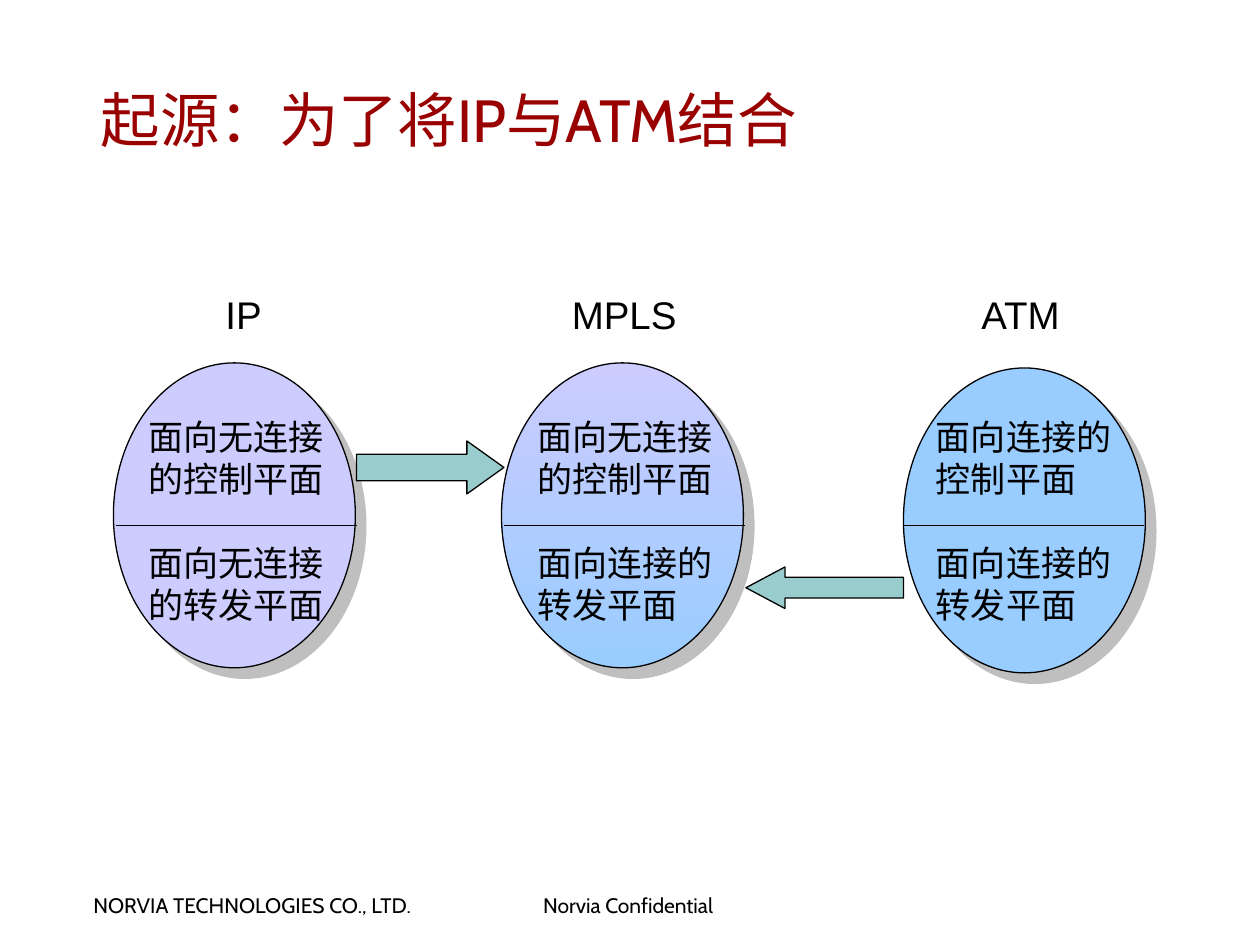
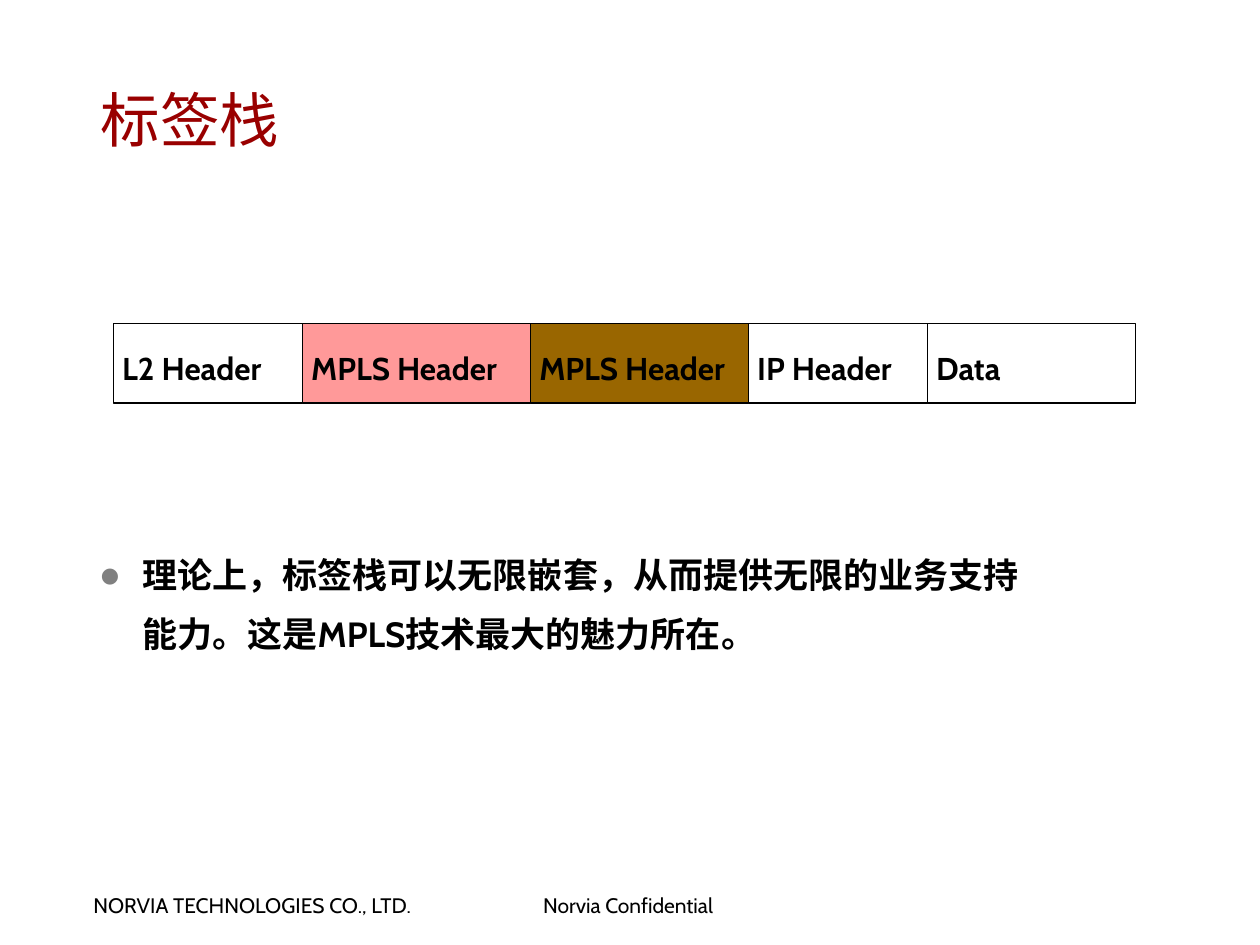
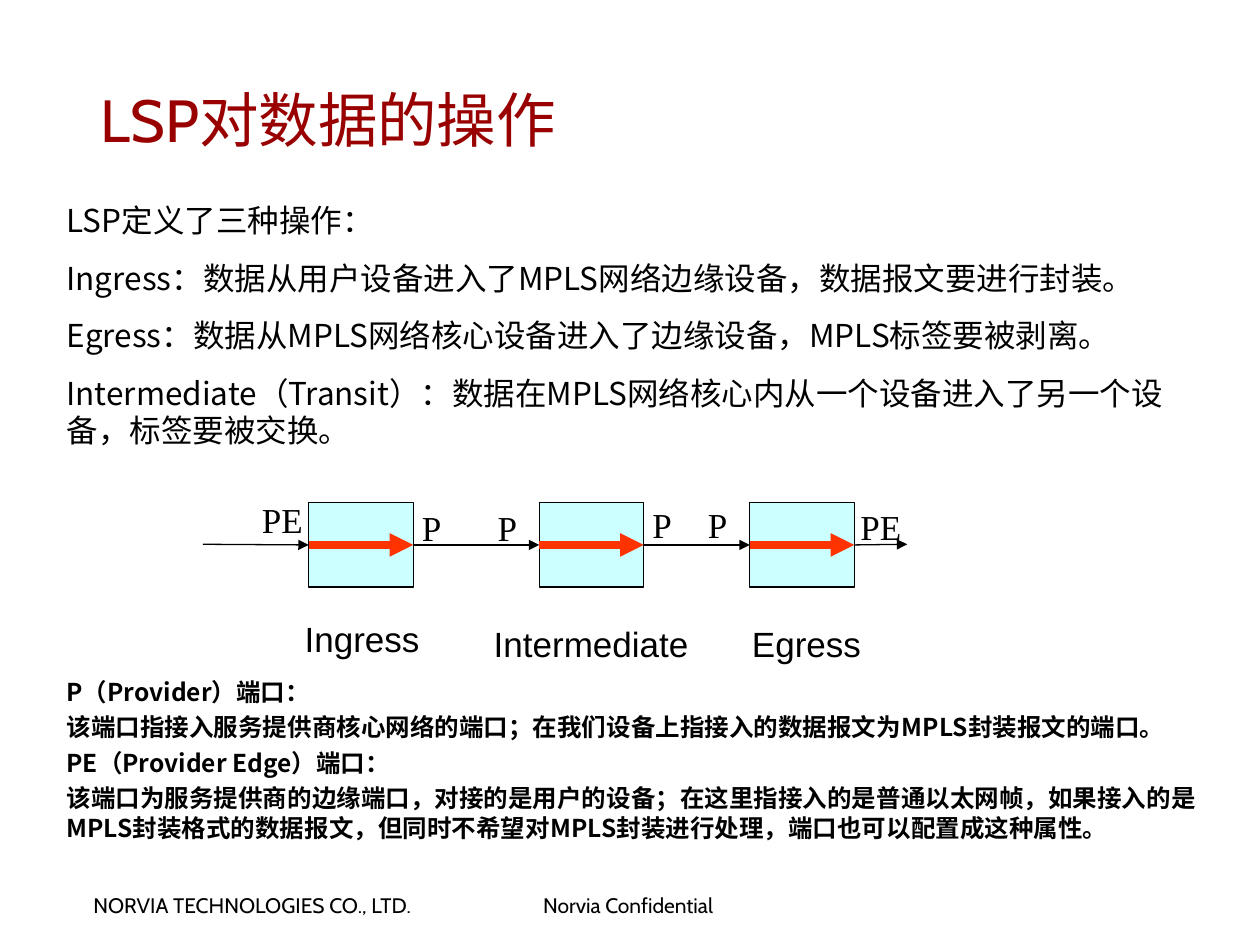
from dataclasses import dataclass

from lxml import etree
from pptx import Presentation
from pptx import util as u
from pptx.dml.color import RGBColor
from pptx.enum import shapes, text
from pptx.oxml.ns import qn


@dataclass(frozen=True)
class Theme:
    # Colours
    ink: str = "000000"
    title: str = "990000"
    bullet: str = "808080"
    shade: str = "808080"
    lilac: str = "CCCCFF"
    sky: str = "99CCFF"
    teal: str = "99CCCC"
    pink: str = "FF9999"
    brown: str = "996600"
    aqua: str = "CCFFFF"
    red: str = "FF3300"
    # Fonts
    main: str = "Cabin"
    hans: str = "Noto Sans CJK SC"
    serif: str = "Times New Roman"
    sans: str = "Arial"
    # Type sizes and line widths in points
    big: int = 34
    head: int = 22
    body: int = 20
    mid: int = 18
    note: int = 14
    foot: int = 12
    thin: float = 0.75
    thick: float = 4.5


THEME = Theme()
WIDE = (0.1, 0.05)
TIGHT = (0.09, 0.04)
FOOTS = [(0.65, 2.99, "NORVIA TECHNOLOGIES CO., LTD."),
         (4.22, 1.85, "Norvia Confidential")]


def paint(form, tone):
    form.rgb = RGBColor.from_string(tone)


def add(parent, tag, **attrs):
    return etree.SubElement(parent, qn(tag), attrs)


def write(frame, lines, size=THEME.body, font=THEME.main, tone=THEME.ink,
          bold=False, before=0, pitch=1.0, pad=TIGHT, wrap=True,
          anchor=text.MSO_ANCHOR.TOP, fit=text.MSO_AUTO_SIZE.NONE):
    """Fill a text frame with one paragraph per line."""
    frame.word_wrap, frame.auto_size = wrap, fit
    frame.vertical_anchor = anchor
    frame.margin_left = frame.margin_right = u.Inches(pad[0])
    frame.margin_top = frame.margin_bottom = u.Inches(pad[1])
    for i, line in enumerate(lines):
        para = frame.add_paragraph() if i else frame.paragraphs[0]
        para.alignment = text.PP_ALIGN.LEFT
        para.space_before, para.line_spacing = u.Pt(before), pitch
        run = para.add_run()
        run.text = line
        run.font.size, run.font.name, run.font.bold = u.Pt(size), font, bold
        paint(run.font.color, tone)
        add(run._r.get_or_add_rPr(), "a:ea", typeface=THEME.hans)


class Deck:
    def __init__(self, theme):
        self.theme = theme
        self.file = Presentation()
        self.file.slide_width, self.file.slide_height = u.Inches(10), u.Inches(7.5)

    def start(self, title, layout=5):
        """Open a slide with its title and footers."""
        self.slide = self.file.slides.add_slide(self.file.slide_layouts[layout])
        self.area = self.slide.shapes
        t = self.theme
        self.place(self.slide.shapes.title, 0.71, 0.47, 8.47, 0.95)
        write(self.slide.shapes.title.text_frame, [title], size=t.big,
              tone=t.title, anchor=text.MSO_ANCHOR.MIDDLE)
        for x, w, line in FOOTS:
            self.label(x, 7.04, w, 0.29, line, size=t.foot, wrap=False)

    def group(self):
        self.area = self.slide.shapes.add_group_shape().shapes

    def ungroup(self):
        self.area = self.slide.shapes

    def place(self, shape, *box):
        shape.left, shape.top, shape.width, shape.height = map(u.Inches, box)

    def label(self, x, y, w, h, *lines, **form):
        box = self.area.add_textbox(*map(u.Inches, (x, y, w, h)))
        write(box.text_frame, lines, fit=text.MSO_AUTO_SIZE.SHAPE_TO_FIT_TEXT, **form)

    def bullet(self, x, y, w, h, line):
        body = self.slide.placeholders[1]
        self.place(body, x, y, w, h)
        write(body.text_frame, [line], bold=True, before=5, pitch=1.4)
        props = body.text_frame.paragraphs[0]._p.get_or_add_pPr()
        props.set("marL", str(u.Inches(0.33)))
        props.set("indent", str(u.Inches(-0.33)))
        add(add(props, "a:buClr"), "a:srgbClr", val=self.theme.bullet)
        add(props, "a:buSzPct", val="60000")
        add(props, "a:buFont", typeface=self.theme.main)
        add(props, "a:buChar", char="●")

    def shape(self, kind, x, y, w, h, fill=None, blend=None, adjust=(), shade=False):
        item = self.area.add_shape(kind, *map(u.Inches, (x, y, w, h)))
        item.shadow.inherit = False
        for i, value in enumerate(adjust):
            item.adjustments[i] = value
        if blend:
            item.fill.gradient()
            item.fill.gradient_angle = 270
            for stop, tone in zip(item.fill.gradient_stops, (fill, blend)):
                paint(stop.color, tone)
        elif fill:
            item.fill.solid()
            paint(item.fill.fore_color, fill)
        else:
            item.fill.background()
        paint(item.line.color, self.theme.ink)
        item.line.width = u.Pt(self.theme.thin)
        if shade:
            effects = item._element.spPr.find(qn("a:effectLst"))
            drop = add(effects, "a:outerShdw", dist=str(u.Pt(8.5)),
                       dir="2700000", algn="ctr", rotWithShape="0")
            tone = add(drop, "a:srgbClr", val=self.theme.shade)
            add(tone, "a:alpha", val="50000")
        return item

    def line(self, x1, x2, y, tone=THEME.ink, width=THEME.thin, arrow=False,
             start=None, end=None):
        """Draw a level line; start and end are (shape, side) joints."""
        link = self.area.add_connector(
            shapes.MSO_CONNECTOR.STRAIGHT, *map(u.Inches, (x1, y, x2, y)))
        if start:
            link.begin_connect(*start)
        if end:
            link.end_connect(*end)
        paint(link.line.color, tone)
        link.line.width = u.Pt(width)
        if arrow:
            add(link.line._get_or_add_ln(), "a:tailEnd", type="triangle")
        add(link._element.spPr, "a:effectLst")


def origin(deck):
    t, kinds = deck.theme, shapes.MSO_SHAPE
    deck.start("起源：为了将IP与ATM结合")
    free, bound = "面向无连接的", "面向连接的"
    # Each plane: name, name left and width, oval left and top,
    # divider left, text left, colours, upper and lower wording
    planes = [
        ("IP", 1.69, 0.92, 0.9, 2.88, 0.92, 1.08, t.lilac, None, free, free),
        ("ATM", 7.69, 1.25, 7.17, 2.92, 7.17, 7.33, t.sky, None, bound, bound),
        ("MPLS", 4.44, 1.58, 3.98, 2.88, 4, 4.17, t.lilac, t.sky, free, bound),
    ]
    for name, left, wide, x, y, cut, note, fill, blend, upper, lower in planes:
        deck.shape(kinds.OVAL, x, y, 1.92, 2.42, fill, blend, shade=True)
        deck.line(cut, cut + 1.91, 4.17)
        for top, line in ((3.25, upper + "控制平面"), (4.25, lower + "转发平面")):
            deck.label(note, top, 1.83, 0.77, line, font=t.serif, before=12.5, pad=WIDE)
        deck.label(left, 2.26, wide, 0.47, name, size=t.head, font=t.sans,
                   before=13.8, pad=WIDE)
    # Arrows towards MPLS
    deck.shape(kinds.RIGHT_ARROW, 2.83, 3.5, 1.17, 0.42, t.teal, adjust=(0.5, 0.7))
    deck.shape(kinds.LEFT_ARROW, 5.92, 4.5, 1.25, 0.33, t.teal, adjust=(0.5, 0.94))


def stack(deck):
    t = deck.theme
    deck.start("标签栈", layout=1)
    deck.bullet(0.71, 4.22, 7.59, 1.32,
                "理论上，标签栈可以无限嵌套，从而提供无限的业务支持能力。这是MPLS技术最大的魅力所在。")
    # Packet fields: name, field width, label width, fill
    fields = [("L2 Header", 1.5, 1.43, None), ("MPLS Header", 1.81, 1.82, t.pink),
              ("MPLS Header", 1.73, 1.82, t.brown), ("IP Header", 1.42, 1.4, None),
              ("Data", 1.65, 0.77, None)]
    x, names = 0.9, []
    for name, width, wide, fill in fields:
        deck.shape(shapes.MSO_SHAPE.RECTANGLE, x, 2.57, width, 0.63, fill)
        names.append((x - 0.02, wide, name))
        x += width
    for left, wide, name in names:
        deck.label(left, 2.73, wide, 0.39, name, size=t.mid, bold=True, wrap=False)


def actions(deck):
    t = deck.theme
    deck.start("LSP对数据的操作")
    deck.label(0.43, 1.55, 8.98, 2.07,
               "LSP定义了三种操作：",
               "Ingress：数据从用户设备进入了MPLS网络边缘设备，数据报文要进行封装。",
               "Egress：数据从MPLS网络核心设备进入了边缘设备，MPLS标签要被剥离。",
               "Intermediate（Transit）：数据在MPLS网络核心内从一个设备进入了另一个设备，标签要被交换。",
               size=t.mid, font=t.hans, before=11.2, pad=WIDE)
    # Chain of devices
    deck.group()
    lefts, wide, mid = (2.45, 4.28, 5.95), 0.83, 4.32
    nodes = [deck.shape(shapes.MSO_SHAPE.RECTANGLE, x, 3.99, wide, 0.67, t.aqua)
             for x in lefts]
    starts = [1.61] + [x + wide for x in lefts]
    ends = list(lefts) + [7.2]
    for x1, x2, prev, after in zip(starts, ends, [None] + nodes, nodes + [None]):
        deck.line(x1, x2, mid, arrow=True, start=prev and (prev, 3),
                  end=after and (after, 1))
    for x, node in zip(lefts, nodes):
        deck.line(x, x + wide, mid, t.red, t.thick, arrow=True,
                  start=(node, 1), end=(node, 3))
    # Device and port names
    for x, y, w, name in ((2.32, 4.85, 1.14, "Ingress"),
                          (3.82, 4.89, 1.81, "Intermediate"),
                          (5.87, 4.89, 1.1, "Egress")):
        deck.label(x, y, w, 0.44, name, font=t.sans, before=12.5, pad=WIDE)
    for x, y, port in ((1.98, 3.91, "PE"), (3.25, 3.97, "P"), (3.85, 3.97, "P"),
                       (5.08, 3.95, "P"), (5.52, 3.95, "P"), (6.73, 3.96, "PE")):
        deck.label(x, y, 0.58, 0.44, port, font=t.serif, before=12.5, pad=WIDE)
    deck.ungroup()
    # Port notes
    deck.label(0.43, 5.32, 9.22, 1.42,
               "P（Provider）端口：",
               "该端口指接入服务提供商核心网络的端口；在我们设备上指接入的数据报文为MPLS封装报文的端口。",
               "PE（Provider Edge）端口：",
               "该端口为服务提供商的边缘端口，对接的是用户的设备；在这里指接入的是普通以太网帧，"
               "如果接入的是MPLS封装格式的数据报文，但同时不希望对MPLS封装进行处理，"
               "端口也可以配置成这种属性。",
               size=t.note, font=t.hans, bold=True, before=3.5, pad=WIDE)


def main():
    deck = Deck(THEME)
    for build in (origin, stack, actions):
        build(deck)
    deck.file.save("out.pptx")


if __name__ == "__main__":
    main()
